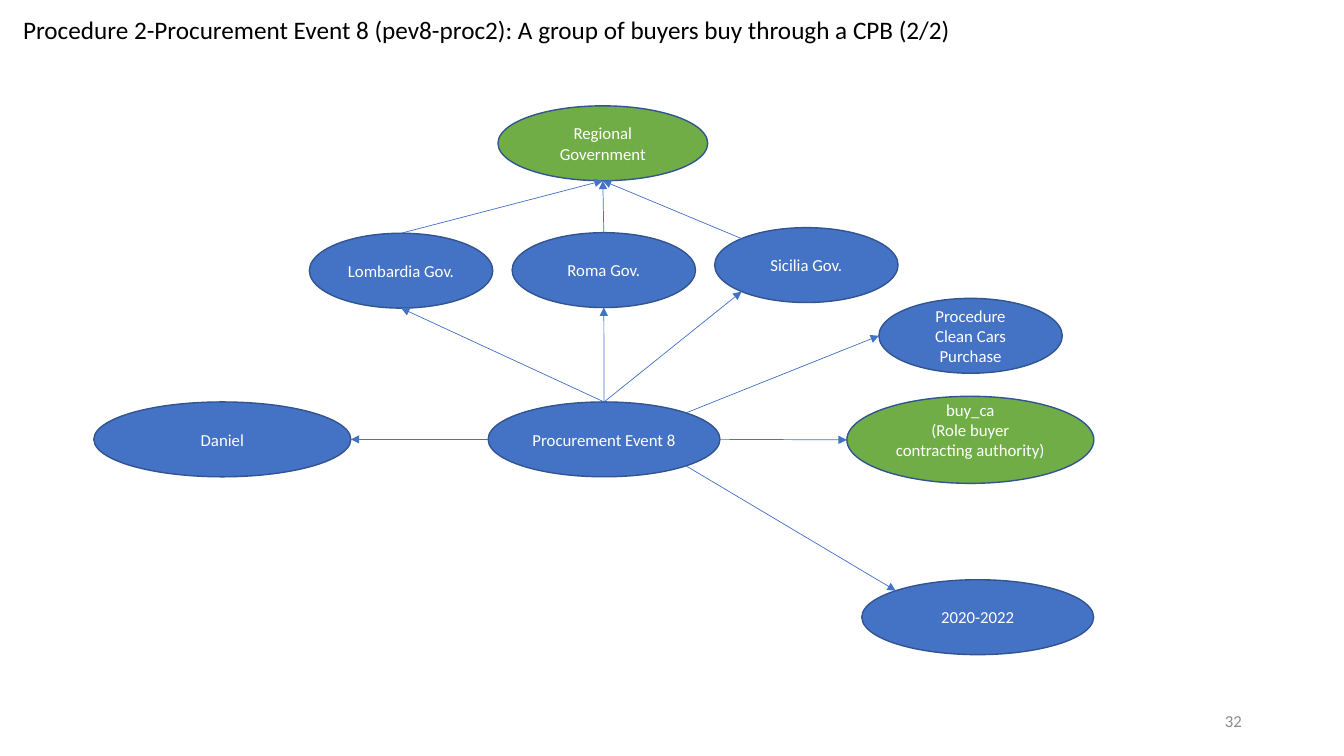
from math import sqrt

from lxml.etree import SubElement
from pptx import Presentation
from pptx.dml.color import RGBColor
from pptx.enum.shapes import MSO_CONNECTOR, MSO_SHAPE
from pptx.enum.text import MSO_ANCHOR, MSO_AUTO_SIZE, PP_ALIGN
from pptx.oxml.ns import qn
from pptx.util import Pt

COLORS = {"blue": "4472C4", "green": "70AD47", "outline": "325491",
          "white": "FFFFFF", "black": "000000", "grey": "8C8C8C"}

# Points on an ellipse, as offsets from its centre in half-widths and half-heights
D = sqrt(0.5)
SITES = {"top": (0, -1), "bottom": (0, 1), "left": (-1, 0), "right": (1, 0),
         "top left": (-D, -D), "top right": (D, -D),
         "bottom left": (-D, D), "bottom right": (D, D)}


class Diagram:
    font = "Calibri"

    def __init__(self, slide):
        self.shapes = slide.shapes

    def color(self, name):
        return RGBColor.from_string(COLORS[name])

    def set_text(self, tf, text, size, color, align):
        tf.text = text
        for p in tf.paragraphs:
            p.alignment = align
            for r in p.runs:
                r.font.name = self.font
                r.font.size = Pt(size)
                r.font.color.rgb = self.color(color)

    def label(self, text, box, size, color, align=PP_ALIGN.LEFT, wrap=True):
        tf = self.shapes.add_textbox(*map(Pt, box)).text_frame
        self.set_text(tf, text, size, color, align)
        tf.word_wrap = wrap
        if not wrap:
            tf.auto_size = MSO_AUTO_SIZE.SHAPE_TO_FIT_TEXT
        return tf

    def node(self, text, left, top, width, height=53.5, fill="blue"):
        sp = self.shapes.add_shape(MSO_SHAPE.OVAL, Pt(left), Pt(top), Pt(width), Pt(height))
        sp.shadow.inherit = False
        sp.fill.solid()
        sp.fill.fore_color.rgb = self.color(fill)
        sp.line.color.rgb = self.color("outline")
        sp.line.width = Pt(1)
        tf = sp.text_frame
        tf.word_wrap = True
        tf.vertical_anchor = MSO_ANCHOR.MIDDLE
        self.set_text(tf, text, 12, "white", PP_ALIGN.CENTER)
        return sp

    def site(self, sp, name):
        dx, dy = SITES[name]
        return (int(sp.left + sp.width * (1 + dx) / 2),
                int(sp.top + sp.height * (1 + dy) / 2))

    def arrow(self, start, start_site, end, end_site):
        cxn = self.shapes.add_connector(MSO_CONNECTOR.STRAIGHT,
                                        *self.site(start, start_site),
                                        *self.site(end, end_site))
        cxn.line.color.rgb = self.color("blue")
        cxn.line.width = Pt(0.5)
        SubElement(cxn.get_or_add_ln(), qn("a:tailEnd"), type="triangle")
        SubElement(cxn.element.spPr, qn("a:effectLst"))


def main():
    prs = Presentation()
    prs.slide_width, prs.slide_height = Pt(960), Pt(540)
    d = Diagram(prs.slides.add_slide(prs.slide_layouts[6]))

    # Title and slide number
    d.label("Procedure 2-Procurement Event 8 (pev8-proc2): "
            "A group of buyers buy through a CPB (2/2)",
            (9.4, 6.5, 684.7, 28.8), 18, "black", wrap=False)
    number = d.label("32", (678.2, 500.4, 216, 28.8), 12, "grey", PP_ALIGN.RIGHT)
    number.vertical_anchor = MSO_ANCHOR.MIDDLE

    # Governments
    region = d.node("Regional Government", 355.7, 75.6, 149.8, fill="green")
    lombardia = d.node("Lombardia Gov.", 221, 166.6, 131)
    roma = d.node("Roma Gov.", 365.8, 166.2, 131)
    sicilia = d.node("Sicilia Gov.", 510.5, 162.6, 131)

    # Event and its properties
    event = d.node("Procurement Event 8", 348.7, 287.1, 165.6)
    daniel = d.node("Daniel", 67, 287.1, 183.6)
    procedure = d.node("Procedure\nClean Cars Purchase", 627.8, 213.1, 131)
    buyer = d.node("buy_ca\n(Role buyer contracting authority)",
                   604.9, 283.1, 176.4, 62.2, fill="green")
    buyer.text_frame.margin_bottom = Pt(18)  # lifts the text by half a line
    period = d.node("2020-2022", 615.6, 414.1, 165.6)

    # Arrows
    for link in [
        (lombardia, "top", region, "bottom"),
        (roma, "top", region, "bottom"),
        (sicilia, "top left", region, "bottom"),
        (event, "top", lombardia, "bottom"),
        (event, "top", roma, "bottom"),
        (event, "top", sicilia, "bottom left"),
        (event, "left", daniel, "right"),
        (event, "top right", procedure, "left"),
        (event, "right", buyer, "left"),
        (event, "bottom right", period, "top left"),
    ]:
        d.arrow(*link)

    prs.save("out.pptx")


if __name__ == "__main__":
    main()
